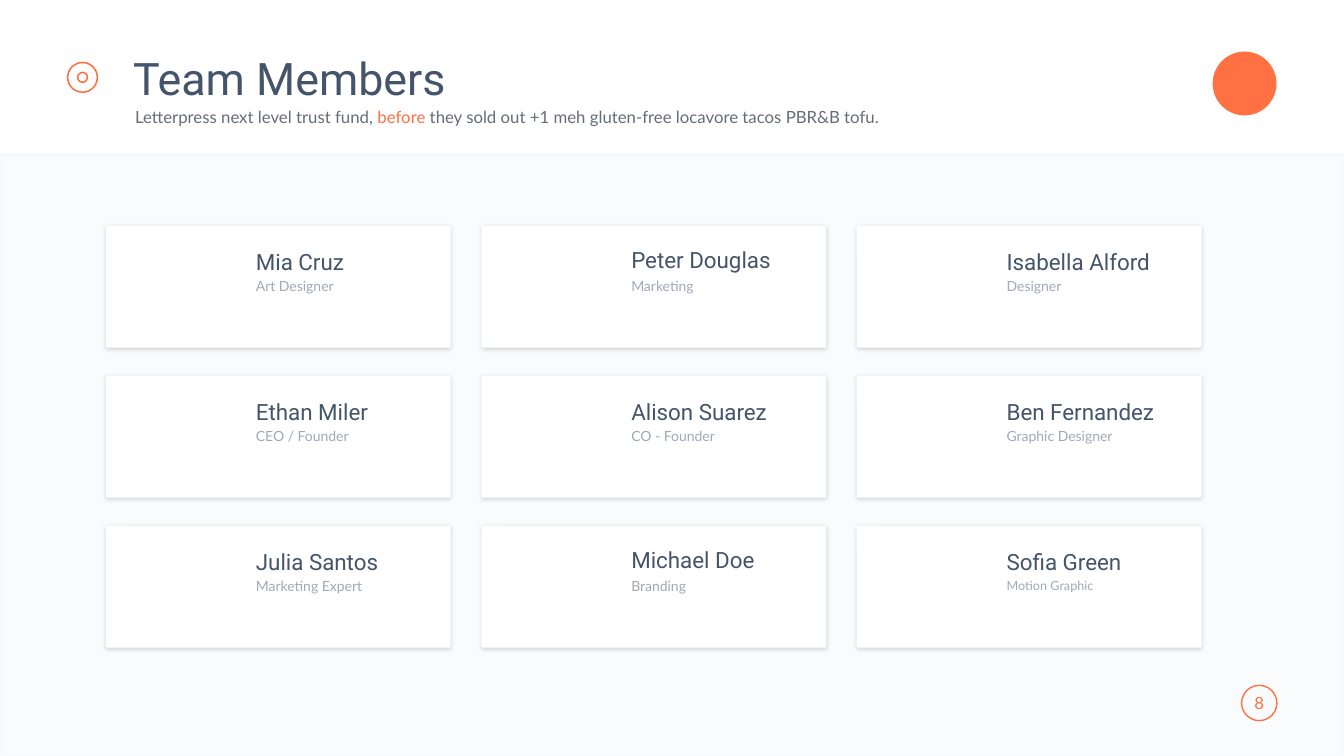
"""Build the Team Members slide: a header above a three-by-three grid of people cards."""
import dataclasses

import lxml.etree
import pptx
import pptx.dml.color
import pptx.enum.shapes
import pptx.enum.text
import pptx.oxml.ns
import pptx.util

Cm = pptx.util.Cm
Pt = pptx.util.Pt
Shape = pptx.enum.shapes.MSO_SHAPE
Align = pptx.enum.text.PP_ALIGN
Anchor = pptx.enum.text.MSO_ANCHOR
qn = pptx.oxml.ns.qn


@dataclasses.dataclass(frozen=True)
class Theme:
    accent: str = "FF7043"
    heading: str = "44546A"
    body: str = "656D78"
    muted: str = "A1A9B4"
    card: str = "FFFFFF"
    band: str = "FAFBFC"
    band_edge: str = "F8F9FB"
    heading_font: str = "Roboto"
    body_font: str = "Lato"
    title_size: int = 32
    name_size: int = 16
    text_size: int = 12
    role_size: int = 10
    small_role_size: int = 9


theme = Theme()


def write(shape, text, *, size, color, font=theme.body_font, spacing=0.8,
          align=Align.LEFT, anchor=Anchor.TOP):
    """Append a formatted run to the first paragraph of a shape."""
    frame = shape.text_frame
    frame.word_wrap = True
    frame.auto_size = pptx.enum.text.MSO_AUTO_SIZE.NONE
    frame.vertical_anchor = anchor
    paragraph = frame.paragraphs[0]
    paragraph.alignment = align
    paragraph.line_spacing = spacing
    paragraph.space_before = Pt(0)
    run = paragraph.add_run()
    run.text = text
    run.font.name = font
    run.font.size = Pt(size)
    run.font.color.rgb = pptx.dml.color.RGBColor.from_string(color)


def draw(kind, left, top, width, height, *, fill=None, line=None, weight=1):
    """Add a preset shape, measured in centimetres, without a shadow."""
    shape = slide.shapes.add_shape(kind, Cm(left), Cm(top), Cm(width), Cm(height))
    shape.shadow.inherit = False
    if fill:
        shape.fill.solid()
        shape.fill.fore_color.rgb = pptx.dml.color.RGBColor.from_string(fill)
    else:
        shape.fill.background()
    if line:
        shape.line.color.rgb = pptx.dml.color.RGBColor.from_string(line)
        shape.line.width = Pt(weight)
    else:
        shape.line.fill.background()
    return shape


presentation = pptx.Presentation()
presentation.slide_width = Cm(33.87)
presentation.slide_height = Cm(19.05)
slide = presentation.slides.add_slide(presentation.slide_layouts[1])

title = slide.shapes.title
title.left, title.top, title.width, title.height = Cm(3.1), Cm(1.3), Cm(25.58), Cm(1.35)
write(title, "Team Members", size=theme.title_size, color=theme.heading,
      font=theme.heading_font, spacing=0.9)

subtitle = slide.placeholders[1]
subtitle.left, subtitle.top, subtitle.width, subtitle.height = Cm(3.15), Cm(2.62), Cm(22.99), Cm(0.74)
properties = subtitle.text_frame.paragraphs[0]._p.get_or_add_pPr()
properties.set("marL", "0")
properties.set("indent", "0")
lxml.etree.SubElement(properties, qn("a:buNone"))
for text, color in [
    ("Letterpress next level trust fund, ", theme.body),
    ("before", theme.accent),
    (" they sold out +1 meh gluten-free locavore tacos PBR&B tofu.", theme.body),
]:
    write(subtitle, text, size=theme.text_size, color=color, spacing=0.9)

draw(Shape.RECTANGLE, 0, 3.89, 33.87, 15.18, fill=theme.band, line=theme.band_edge, weight=2)
draw(Shape.OVAL, 30.56, 1.3, 1.61, 1.61, fill=theme.accent)

marker_x, marker_y = 2.08, 1.95
for diameter in (0.75, 0.25):
    draw(Shape.OVAL, marker_x - diameter / 2, marker_y - diameter / 2, diameter, diameter,
         line=theme.accent, weight=1.1)

page_badge = draw(Shape.OVAL, 31.29, 17.27, 0.89, 0.89, line=theme.accent)
page_frame = page_badge.text_frame
page_frame.margin_left = page_frame.margin_right = 0
page_frame.margin_top = page_frame.margin_bottom = 0
write(page_badge, "8", size=theme.text_size, color=theme.accent, spacing=1.0,
      align=Align.CENTER, anchor=Anchor.MIDDLE)

members = [
    ("Mia Cruz", "Art Designer"),
    ("Peter Douglas", "Marketing"),
    ("Isabella Alford", "Designer"),
    ("Ethan Miler", "CEO / Founder"),
    ("Alison Suarez", "CO - Founder"),
    ("Ben Fernandez", "Graphic Designer"),
    ("Julia Santos", "Marketing Expert"),
    ("Michael Doe", "Branding"),
    ("Sofia Green", "Motion Graphic"),
]
tight_names = {"Peter Douglas", "Michael Doe"}
small_roles = {"Motion Graphic"}
columns = 3
grid_left, grid_top = 2.67, 5.69
column_pitch, row_pitch = 9.46, 3.78
card_width, card_height = 8.69, 3.07
text_offset, text_width = 3.53, 5.16

for index, (name, role) in enumerate(members):
    row, column = divmod(index, columns)
    left = grid_left + column * column_pitch
    top = grid_top + row * row_pitch

    card = draw(Shape.ROUNDED_RECTANGLE, left, top, card_width, card_height, fill=theme.card)
    card.adjustments[0] = 0.012
    effects = card._element.spPr.find(qn("a:effectLst"))
    shadow = lxml.etree.SubElement(effects, qn("a:outerShdw"), blurRad=str(Pt(3)),
                                   dist=str(Pt(1)), dir="5400000", algn="t", rotWithShape="0")
    shadow_color = lxml.etree.SubElement(shadow, qn("a:srgbClr"), val="000000")
    lxml.etree.SubElement(shadow_color, qn("a:alpha"), val="15000")

    name_box = slide.shapes.add_textbox(Cm(left + text_offset), Cm(top + 0.57), Cm(text_width), Cm(0.94))
    write(name_box, name, size=theme.name_size, color=theme.heading, font=theme.heading_font,
          spacing=0.7 if name in tight_names else 0.8)
    role_box = slide.shapes.add_textbox(Cm(left + text_offset), Cm(top + 1.27), Cm(text_width), Cm(0.74))
    write(role_box, role, color=theme.muted,
          size=theme.small_role_size if role in small_roles else theme.role_size)

presentation.save("out.pptx")
